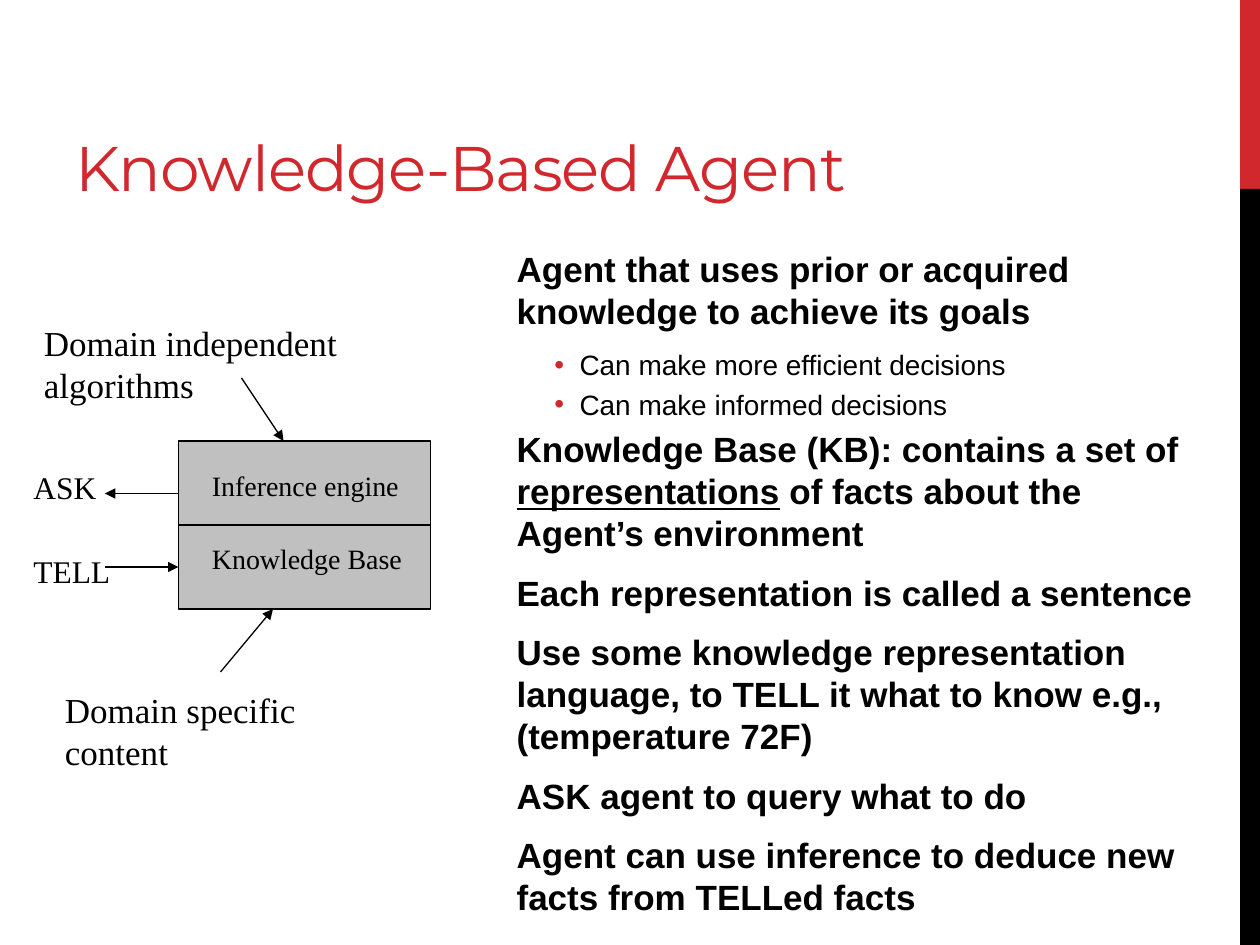
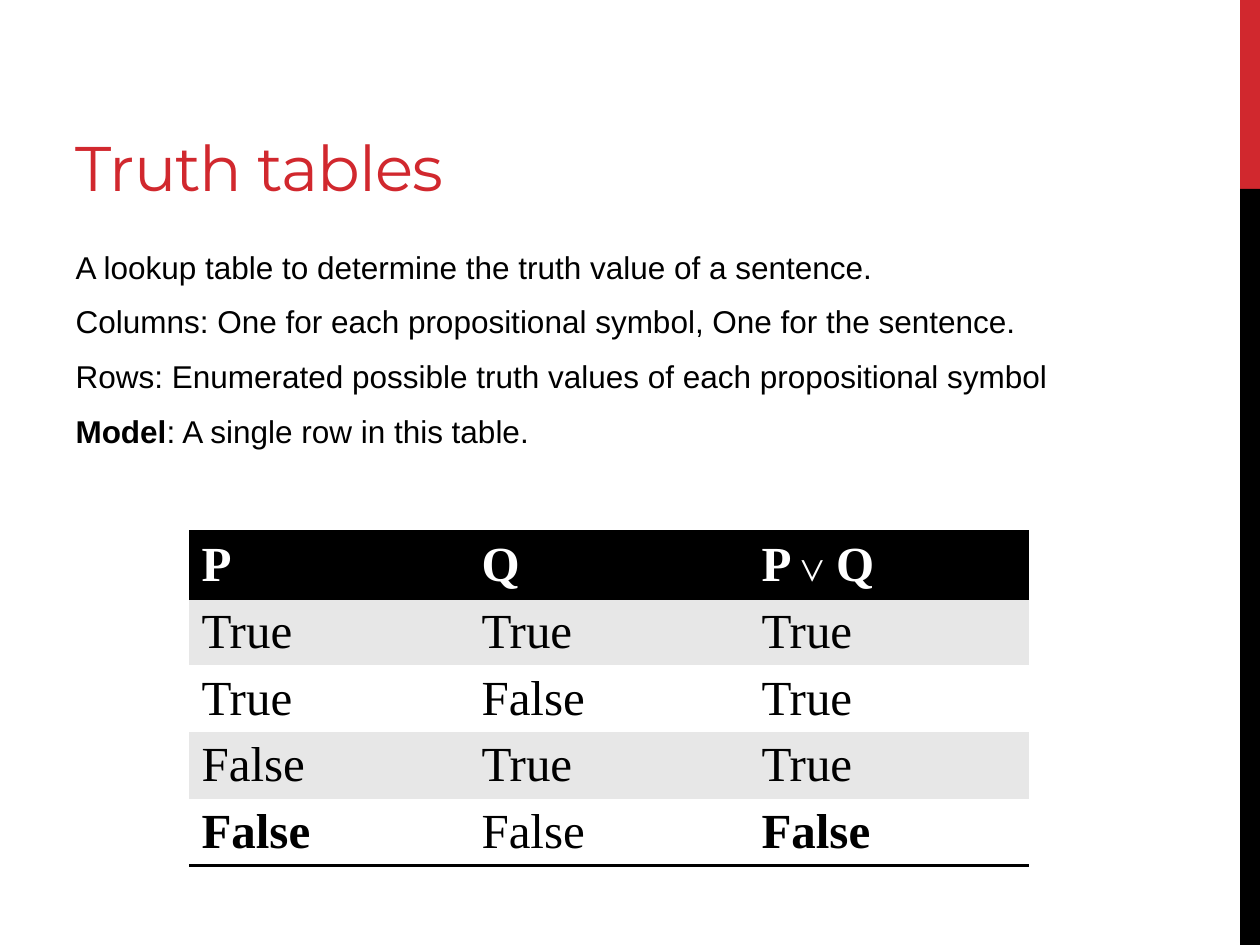
import lxml.etree
import pptx
import pptx.dml.color
import pptx.enum.shapes
import pptx.enum.text
import pptx.oxml
import pptx.oxml.ns
import pptx.util

PX = 7620
RED = "D1282E"
BLACK = "000000"
WHITE = "FFFFFF"
GRAY = "C0C0C0"
PALE = "E7E7E7"
SANS = "Arial"
SERIF = "Times New Roman"
qn = pptx.oxml.ns.qn


def color(hex_code):
    return pptx.dml.color.RGBColor.from_string(hex_code)


def add_run(paragraph, text, size, font, hex_code=BLACK, bold=False):
    run = paragraph.add_run()
    run.text = text
    run.font.size = pptx.util.Pt(size)
    run.font.name = font
    run.font.bold = bold
    run.font.color.rgb = color(hex_code)
    return run


presentation = pptx.Presentation()
presentation.slide_width = 1200 * PX
presentation.slide_height = 900 * PX
layout = presentation.slide_layouts[1]
rectangle = pptx.enum.shapes.MSO_SHAPE.RECTANGLE

agent_body = [
    (0, [("Agent that uses prior or acquired knowledge to achieve its goals", True)]),
    (1, [("Can make more efficient decisions", False)]),
    (1, [("Can make informed decisions", False)]),
    (0, [("Knowledge Base (KB): contains a set of ", True),
         ("representations", True),
         (" of facts about the Agent’s environment", True)]),
    (0, [("Each representation is called a sentence", True)]),
    (0, [("Use some knowledge representation language, to TELL it what to know "
          "e.g., (temperature 72F)", True)]),
    (0, [("ASK agent to query what to do", True)]),
    (0, [("Agent can use inference to deduce new facts from TELLed facts", True)]),
]
truth_body = [
    (0, [("A lookup table to determine the truth value of a sentence.", False)]),
    (0, [("Columns: One for each propositional symbol, One for the sentence.", False)]),
    (0, [("Rows: Enumerated possible truth values of each propositional symbol", False)]),
    (0, [("Model", True), (": A single row in this table.", False)]),
]
contents = [
    ("Knowledge-Based Agent", (480, 230, 690, 610), 20, agent_body),
    ("Truth tables", (60, 230, 1000, 574), 18, truth_body),
]

slides = []
for title_text, body_box, body_size, body_lines in contents:
    slide = presentation.slides.add_slide(layout)
    slides.append(slide)

    title = slide.shapes.title
    title.left, title.top, title.width, title.height = 60 * PX, 20 * PX, 760 * PX, 180 * PX
    title.text_frame.vertical_anchor = pptx.enum.text.MSO_ANCHOR.BOTTOM
    title.text_frame.auto_size = pptx.enum.text.MSO_AUTO_SIZE.NONE
    paragraph = title.text_frame.paragraphs[0]
    paragraph.alignment = pptx.enum.text.PP_ALIGN.LEFT
    run = add_run(paragraph, title_text, 36, "Montserrat", RED)
    run.font._element.set("spc", "-60")

    body = slide.placeholders[1]
    body.left, body.top, body.width, body.height = [length * PX for length in body_box]
    frame = body.text_frame
    frame.auto_size = pptx.enum.text.MSO_AUTO_SIZE.NONE
    for index, (level, runs) in enumerate(body_lines):
        paragraph = frame.add_paragraph() if index else frame.paragraphs[0]
        paragraph.level = level
        size = 16 if level else body_size
        paragraph.space_before = pptx.util.Pt(size * 0.2)
        paragraph.space_after = pptx.util.Pt(0 if level else 6)
        properties = paragraph._p.get_or_add_pPr()
        properties.set("marL", str(60 * PX * level))
        properties.set("indent", str(-24 * PX * level))
        if level:
            bullet_color = lxml.etree.SubElement(properties, qn("a:buClr"))
            lxml.etree.SubElement(bullet_color, qn("a:srgbClr"), val=RED)
            lxml.etree.SubElement(properties, qn("a:buFont"), typeface=SANS)
            lxml.etree.SubElement(properties, qn("a:buChar"), char="•")
        else:
            lxml.etree.SubElement(properties, qn("a:buNone"))
        for text, bold in runs:
            run = add_run(paragraph, text, size, SANS, BLACK, bold)
            if text == "representations":
                run.font.underline = True

agent_slide, truth_slide = slides

for index, (top, height, fill) in enumerate([(0, 180, RED), (180, 720, BLACK)]):
    band = agent_slide.shapes.add_shape(rectangle, 1181 * PX, top * PX, 19 * PX, height * PX)
    band.shadow.inherit = False
    band.fill.solid()
    band.fill.fore_color.rgb = color(fill)
    band.line.fill.background()
    band._element.nvSpPr.cNvPr.set("id", str(100 + index))
    layout.shapes._spTree.insert(2 + index, band._element)

for top in (420, 500):
    component = agent_slide.shapes.add_shape(rectangle, 170 * PX, top * PX, 240 * PX, 80 * PX)
    component.shadow.inherit = False
    component.fill.solid()
    component.fill.fore_color.rgb = color(GRAY)
    component.line.color.rgb = color(BLACK)
    component.line.width = pptx.util.Pt(0.75)
knowledge_base = component

labels = [
    ("Knowledge Base", 190, 510, 205, 44, 16, False),
    ("Inference engine", 190, 440, 203, 44, 16, False),
    ("Domain independent algorithms", 30, 300, 440, 52, 20, True),
    ("Domain specific content", 50, 650, 330, 52, 20, True),
    ("TELL", 20, 520, 97, 48, 18, False),
    ("ASK", 20, 440, 84, 48, 18, False),
]
for text, left, top, width, height, size, wrap in labels:
    label = agent_slide.shapes.add_textbox(left * PX, top * PX, width * PX, height * PX)
    label.text_frame.word_wrap = wrap
    add_run(label.text_frame.paragraphs[0], text, size, SERIF)

arrows = [
    (210, 640, 260, 580),
    (230, 360, 270, 420),
    (170, 470, 100, 470),
    (100, 540, 170, 540),
]
for ends in arrows:
    arrow = agent_slide.shapes.add_connector(
        pptx.enum.shapes.MSO_CONNECTOR.STRAIGHT, *[length * PX for length in ends])
    arrow.line.color.rgb = color(BLACK)
    arrow.line.width = pptx.util.Pt(0.75)
    lxml.etree.SubElement(arrow.line._get_or_add_ln(), qn("a:tailEnd"), type="triangle")
    lxml.etree.SubElement(arrow._element.spPr, qn("a:effectLst"))
arrow.end_connect(knowledge_base, 1)

truth_rows = [
    ["P", "Q", "P ⋁ Q"],
    ["True", "True", "True"],
    ["True", "False", "True"],
    ["False", "True", "True"],
    ["False", "False", "False"],
]
last_row = len(truth_rows) - 1
table = truth_slide.shapes.add_table(
    len(truth_rows), 3, 180 * PX, 506 * PX, 800 * PX, 245 * PX).table
table.first_row = False
table.horz_banding = False
table._tbl.tblPr[0].text = "{2D5ABB26-0587-4C30-8999-92F81FD0307C}"

for row_index, row in enumerate(truth_rows):
    header = row_index == 0
    for column_index, text in enumerate(row):
        cell = table.cell(row_index, column_index)
        cell.fill.solid()
        cell.fill.fore_color.rgb = color(BLACK if header else PALE if row_index % 2 else WHITE)
        bold = header or (row_index == last_row and column_index != 1)
        before, symbol, after = text.partition("⋁")
        for part in filter(None, (before, symbol, after)):
            is_symbol = part == "⋁"
            add_run(cell.text_frame.paragraphs[0], part, 18 if is_symbol else 28, SERIF,
                    WHITE if header else BLACK, bold and not is_symbol)
        sides = ["a:lnB", "a:lnT"] if header else ["a:lnB"] if row_index == last_row else []
        for side in sides:
            border = lxml.etree.Element(qn(side), w=str(pptx.util.Pt(2)))
            border_fill = lxml.etree.SubElement(border, qn("a:solidFill"))
            lxml.etree.SubElement(border_fill, qn("a:srgbClr"), val=BLACK)
            cell._tc.get_or_add_tcPr().insert(0, border)

presentation.save("out.pptx")
